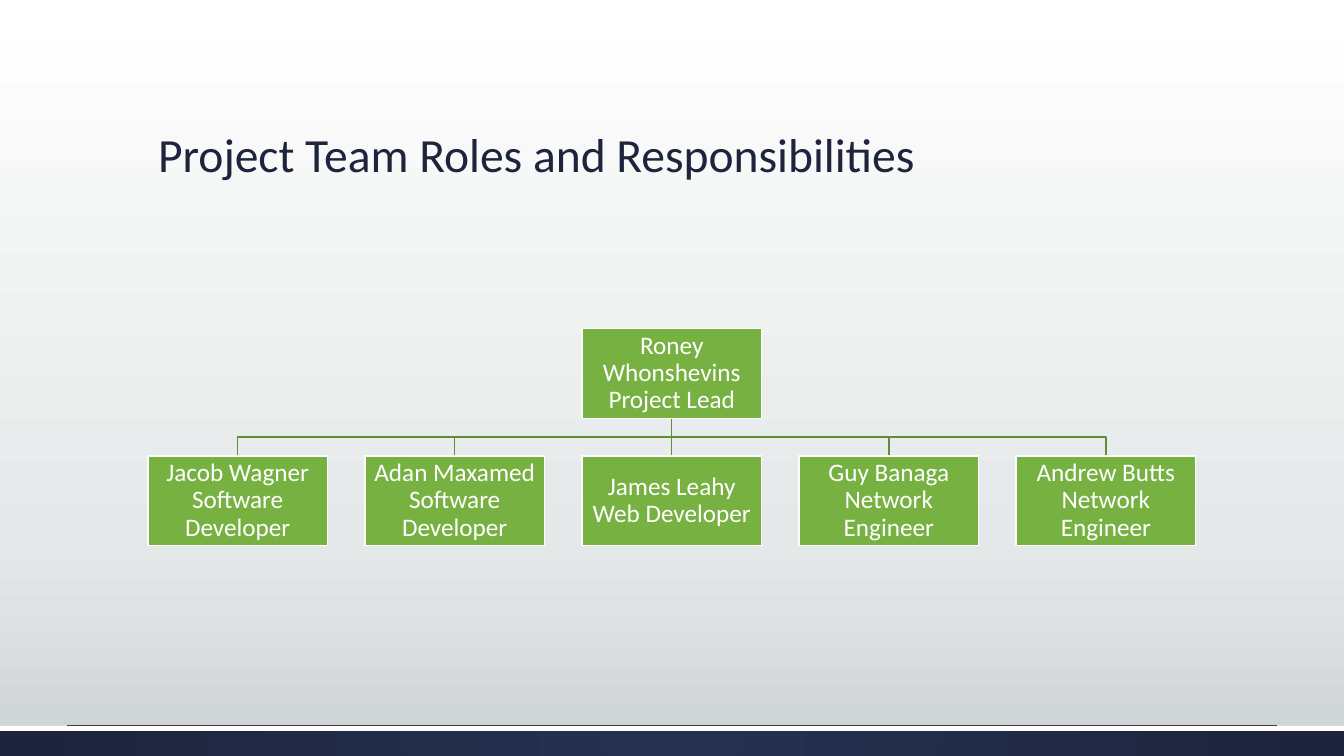
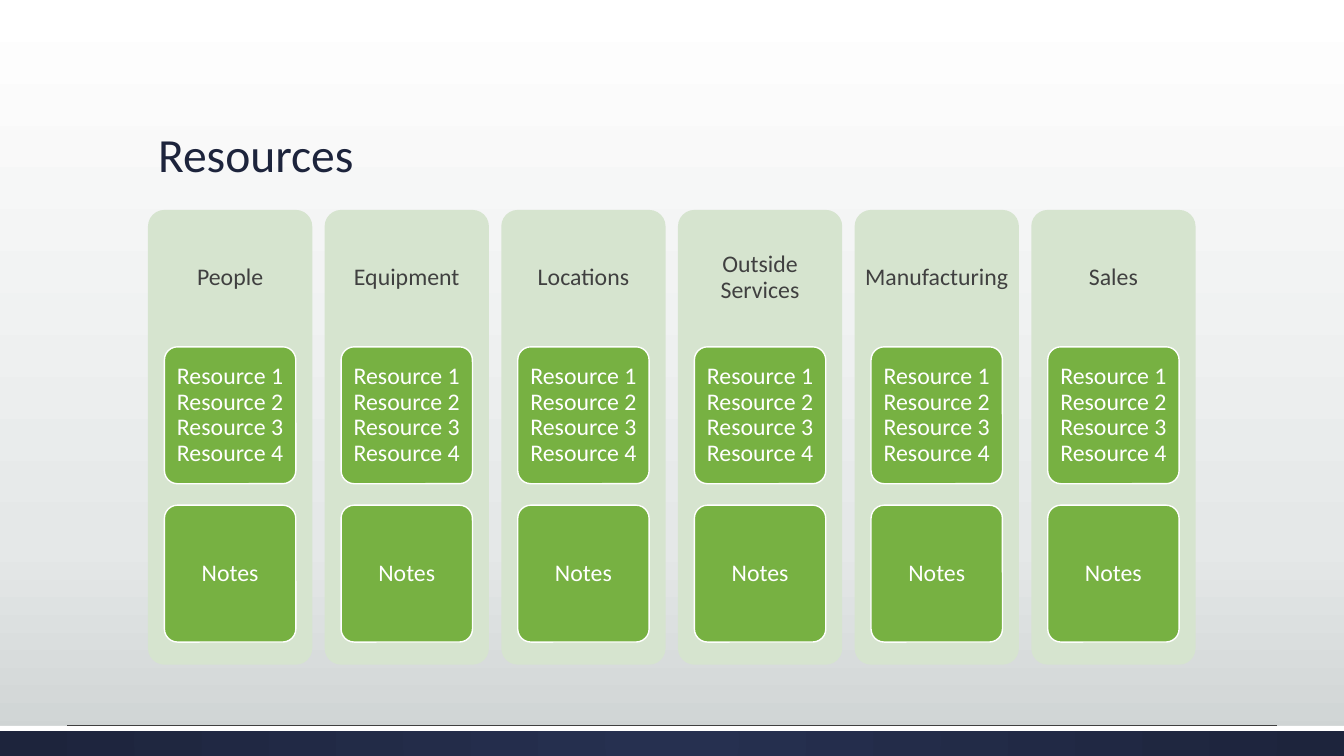
from dataclasses import dataclass

from lxml.etree import SubElement
from pptx import Presentation
from pptx.dml.color import RGBColor
from pptx.enum.shapes import MSO_CONNECTOR, MSO_SHAPE
from pptx.enum.text import MSO_ANCHOR, MSO_AUTO_SIZE, PP_ALIGN
from pptx.oxml.ns import qn
from pptx.util import Cm, Pt


@dataclass(frozen=True)
class Theme:
    font: str = "Calibri"
    navy: str = "1D243C"
    navy_light: str = "263050"
    green: str = "77B142"
    green_dark: str = "5F8E35"
    green_pale: str = "D6E4CF"
    grey: str = "404040"
    white: str = "FFFFFF"
    backdrop: tuple = ((0, "FFFFFF"), (72, "E5E8E8"), (100, "CDD2D2"))
    title_size: int = 34
    role_size: int = 18
    resource_size: int = 17


T = Theme()

# Page and content area, in cm
PAGE_W, PAGE_H = 33.87, 19.05
LEFT, CONTENT_W = 3.73, 26.4
FOOTER_Y = 18.29

LEAD = "Roney Whonshevins Project Lead"
TEAM = [
    "Jacob Wagner Software Developer",
    "Adan Maxamed Software Developer",
    "James Leahy Web Developer",
    "Guy Banaga Network Engineer",
    "Andrew Butts Network Engineer",
]
CATEGORIES = ["People", "Equipment", "Locations", "Outside Services",
              "Manufacturing", "Sales"]
RESOURCES = [f"Resource {n}" for n in range(1, 5)]


def rgb(value):
    return RGBColor.from_string(value)


def spread(count, width):
    """Left edges of equally spaced items that fill the content width."""
    pitch = (CONTENT_W - width) / (count - 1)
    return [LEFT + i * pitch for i in range(count)]


def set_gradient(owner, fill, stops, radial=False):
    fill.gradient()
    grad = owner.element.find(".//" + qn("a:gradFill"))
    for child in list(grad):
        grad.remove(child)
    gs_list = SubElement(grad, qn("a:gsLst"))
    for pos, color in stops:
        gs = SubElement(gs_list, qn("a:gs"), pos=str(pos * 1000))
        SubElement(gs, qn("a:srgbClr"), val=color)
    if radial:
        focus = SubElement(grad, qn("a:path"), path="circle")
        SubElement(focus, qn("a:fillToRect"),
                   {side: "50000" for side in "ltrb"})
    else:
        SubElement(grad, qn("a:lin"), ang="5400000", scaled="0")


def add_text(tf, lines, size, color, align=PP_ALIGN.CENTER):
    tf.word_wrap = True
    p = tf.paragraphs[0]
    p.alignment = align
    p.line_spacing = 0.9
    for i, line in enumerate(lines):
        if i:
            p.add_line_break()
        r = p.add_run()
        r.text = line
        r.font.name = T.font
        r.font.size = Pt(size)
        r.font.color.rgb = rgb(color)


def set_line(sp, color, width):
    sp.line.color.rgb = rgb(color)
    sp.line.width = Pt(width)


def add_box(s, x, y, w, h, fill, line=None, kind=MSO_SHAPE.RECTANGLE):
    sp = s.shapes.add_shape(kind, Cm(x), Cm(y), Cm(w), Cm(h))
    sp.shadow.inherit = False
    sp.fill.solid()
    sp.fill.fore_color.rgb = rgb(fill)
    if line:
        set_line(sp, line, 1)
    else:
        sp.line.fill.background()
    if kind == MSO_SHAPE.ROUNDED_RECTANGLE:
        sp.adjustments[0] = 0.1
    return sp


def add_label(sp, lines, size, color, inset, bottom=None):
    tf = sp.text_frame
    tf.vertical_anchor = MSO_ANCHOR.MIDDLE
    tf.margin_left = tf.margin_right = tf.margin_top = Cm(inset)
    tf.margin_bottom = Cm(inset if bottom is None else bottom)
    add_text(tf, lines, size, color)


def add_rule(s, x1, x2, y):
    cn = s.shapes.add_connector(MSO_CONNECTOR.STRAIGHT,
                                Cm(x1), Cm(y), Cm(x2), Cm(y))
    set_line(cn, T.grey, 0.5)
    SubElement(cn.element.spPr, qn("a:effectLst"))


def add_branch(s, x1, y1, x2, y2):
    """Open outline: down to half height, across, and down again."""
    mid_y = (y1 + y2) / 2
    points = [(x1, mid_y), (x2, mid_y), (x2, y2)]
    builder = s.shapes.build_freeform(Cm(x1), Cm(y1))
    builder.add_line_segments([(Cm(x), Cm(y)) for x, y in points],
                              close=False)
    sp = builder.convert_to_shape()
    sp.shadow.inherit = False
    sp.fill.background()
    set_line(sp, T.green_dark, 1)


def add_slide(prs, title):
    s = prs.slides.add_slide(prs.slide_layouts[5])

    # Footer band with its white edge and hairline
    band = add_box(s, 0, FOOTER_Y, PAGE_W, PAGE_H - FOOTER_Y, T.navy)
    set_gradient(band, band.fill, ((0, T.navy_light), (100, T.navy)),
                 radial=True)
    add_box(s, 0, FOOTER_Y, PAGE_W, 0.13, T.white)
    add_rule(s, 1.69, PAGE_W - 1.69, FOOTER_Y - 0.01)

    # Title
    sp = s.shapes.title
    sp.left, sp.top, sp.width, sp.height = (
        Cm(LEFT), Cm(1.3), Cm(CONTENT_W), Cm(3.43))
    tf = sp.text_frame
    tf.auto_size = MSO_AUTO_SIZE.NONE
    tf.vertical_anchor = MSO_ANCHOR.BOTTOM
    add_text(tf, [title], T.title_size, T.navy, PP_ALIGN.LEFT)
    return s


def add_role(s, x, y, w, h, role):
    sp = add_box(s, x, y, w, h, T.green, T.white)
    add_label(sp, [role], T.role_size, T.white, 0.03)


def add_org_chart(s):
    w, h = 4.52, 2.26
    lead_y, team_y = 8.28, 11.49
    lead_x = LEFT + (CONTENT_W - w) / 2
    lefts = spread(len(TEAM), w)

    # Branches from the lead to each member
    for x in reversed(lefts):
        add_branch(s, lead_x + w / 2, lead_y + h, x + w / 2, team_y)

    # Role boxes
    add_role(s, lead_x, lead_y, w, h, LEAD)
    for x, role in zip(lefts, TEAM):
        add_role(s, x, team_y, w, h, role)


def add_resource_column(s, x, w, category):
    top, h, header_h = 5.29, 11.46, 3.43
    rounded = MSO_SHAPE.ROUNDED_RECTANGLE
    panel = add_box(s, x, top, w, h, T.green_pale, kind=rounded)
    add_label(panel, [category], T.resource_size, T.grey, 0,
              bottom=h - header_h)

    # Resource card and notes card
    card_h, gap = 3.45, 0.54
    for i, lines in enumerate((RESOURCES, ["Notes"])):
        card = add_box(s, x + 0.1 * w, 8.74 + i * (card_h + gap),
                       0.8 * w, card_h, T.green, T.white, rounded)
        add_label(card, lines, T.resource_size, T.white, 0.1)


def main():
    prs = Presentation()
    prs.slide_width, prs.slide_height = Cm(PAGE_W), Cm(PAGE_H)
    master = prs.slide_master
    set_gradient(master, master.background.fill, T.backdrop)

    add_org_chart(add_slide(prs, "Project Team Roles and Responsibilities"))

    s = add_slide(prs, "Resources")
    column_w = 4.14
    for x, category in zip(spread(len(CATEGORIES), column_w), CATEGORIES):
        add_resource_column(s, x, column_w, category)

    prs.save("out.pptx")


if __name__ == "__main__":
    main()
